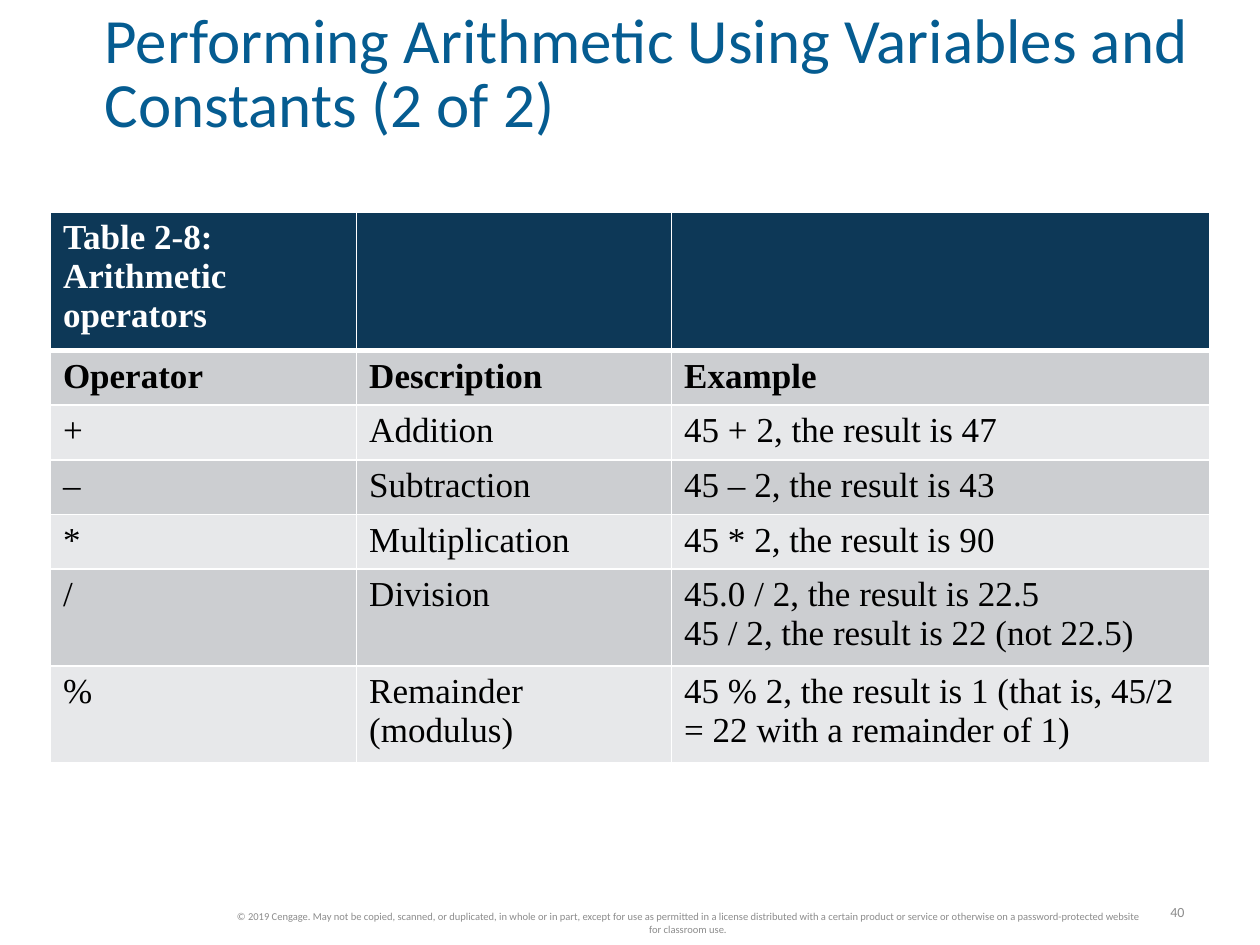
from dataclasses import dataclass

from lxml.etree import SubElement
from pptx import Presentation
from pptx.dml.color import RGBColor
from pptx.enum.text import MSO_ANCHOR, MSO_AUTO_SIZE, PP_ALIGN
from pptx.oxml.ns import qn
from pptx.util import Pt


@dataclass(frozen=True)
class Theme:
    title_font: str = "Calibri"
    table_font: str = "Times New Roman"
    title_size: float = 36
    table_size: float = 20
    number_size: float = 8
    copyright_size: float = 6
    title: str = "055C91"
    footer: str = "8C8C8C"
    header_fill: str = "0D3857"
    header_text: str = "FFFFFF"
    body_text: str = "000000"
    bands: tuple = ("CCCED1", "E7E8EA")
    border: str = "FFFFFF"


THEME = Theme()


@dataclass(frozen=True)
class TextBlock:
    text: str
    left: float
    top: float
    width: float
    height: float
    size: float
    color: str
    alignment: PP_ALIGN = PP_ALIGN.LEFT
    line_spacing: float = 1.0
    wrap: bool = True
    grow: bool = False
    inset: bool = True


@dataclass(frozen=True)
class OperatorRow:
    operator: str
    description: str = ""
    examples: tuple = ("",)


BLOCKS = (
    TextBlock("40", 659.5, 512.6, 24.5, 17.3, THEME.number_size, THEME.footer,
              PP_ALIGN.RIGHT, wrap=False, grow=True),
    TextBlock("Performing Arithmetic Using Variables and Constants (2 of 2)",
              59.8, 25.2, 632.2, 36.7, THEME.title_size, THEME.title,
              line_spacing=0.85, grow=True, inset=False),
    TextBlock("© 2019 Cengage. May not be copied, scanned, or duplicated, in whole "
              "or in part, except for use as permitted in a license distributed with "
              "a certain product or service or otherwise on a password-protected "
              "website for classroom use.",
              126, 517.7, 534.2, 19.4, THEME.copyright_size, THEME.footer,
              PP_ALIGN.CENTER),
)

ROWS = (
    OperatorRow("Table 2-8: Arithmetic operators"),
    OperatorRow("Operator", "Description", ("Example",)),
    OperatorRow("+", "Addition", ("45 + 2, the result is 47",)),
    OperatorRow("–", "Subtraction", ("45 – 2, the result is 43",)),
    OperatorRow("*", "Multiplication", ("45 * 2, the result is 90",)),
    OperatorRow("/", "Division", ("45.0 / 2, the result is 22.5",
                                  "45 / 2, the result is 22 (not 22.5)")),
    OperatorRow("%", "Remainder (modulus)",
                ("45 % 2, the result is 1 (that is, 45/2 = 22 with a remainder of 1)",)),
)
COLUMN_WIDTHS = (175, 180, 307.4)
ROW_HEIGHT = 29.5


def add_run(paragraph, text: str, font: str, size: float, color: str,
            bold: bool = False) -> None:
    run = paragraph.add_run()
    run.text = text
    run.font.name = font
    run.font.size = Pt(size)
    run.font.bold = bold
    run.font.color.rgb = RGBColor.from_string(color)


def add_text(slide, block: TextBlock) -> None:
    shape = slide.shapes.add_textbox(Pt(block.left), Pt(block.top),
                                     Pt(block.width), Pt(block.height))
    frame = shape.text_frame
    frame.word_wrap = block.wrap
    frame.vertical_anchor = MSO_ANCHOR.MIDDLE
    frame.auto_size = (MSO_AUTO_SIZE.SHAPE_TO_FIT_TEXT if block.grow
                       else MSO_AUTO_SIZE.NONE)
    if not block.inset:
        frame.margin_left = frame.margin_right = Pt(0)
        frame.margin_top = frame.margin_bottom = Pt(0)
    paragraph = frame.paragraphs[0]
    paragraph.alignment = block.alignment
    paragraph.line_spacing = block.line_spacing
    add_run(paragraph, block.text, THEME.title_font, block.size, block.color)


def set_borders(cell, bottom: float, top: float) -> None:
    properties = cell._tc.get_or_add_tcPr()
    widths = {"a:lnL": 1, "a:lnR": 1, "a:lnT": top, "a:lnB": bottom}
    for side, width in widths.items():
        line = SubElement(properties, qn(side), w=str(Pt(width)))
        fill = SubElement(line, qn("a:solidFill"))
        SubElement(fill, qn("a:srgbClr"), val=THEME.border)


def fill_cell(cell, lines: tuple, row_index: int) -> None:
    header = row_index == 0
    # Borders precede the fill in the cell properties
    set_borders(cell, bottom=3 if header else 1, top=3 if row_index == 1 else 1)
    cell.fill.solid()
    cell.fill.fore_color.rgb = RGBColor.from_string(
        THEME.header_fill if header else THEME.bands[(row_index - 1) % 2])
    frame = cell.text_frame
    for index, line in enumerate(lines):
        paragraph = frame.add_paragraph() if index else frame.paragraphs[0]
        if line:
            add_run(paragraph, line, THEME.table_font, THEME.table_size,
                    THEME.header_text if header else THEME.body_text,
                    bold=row_index < 2)


def add_operator_table(slide) -> None:
    table = slide.shapes.add_table(
        len(ROWS), len(COLUMN_WIDTHS), Pt(28.8), Pt(121),
        Pt(sum(COLUMN_WIDTHS)), Pt(ROW_HEIGHT * len(ROWS))).table
    for column, width in zip(table.columns, COLUMN_WIDTHS):
        column.width = Pt(width)
    for row_index, row in enumerate(ROWS):
        table.rows[row_index].height = Pt(ROW_HEIGHT)
        contents = ((row.operator,), (row.description,), row.examples)
        for column_index, lines in enumerate(contents):
            fill_cell(table.cell(row_index, column_index), lines, row_index)


def main() -> None:
    presentation = Presentation()
    presentation.slide_width, presentation.slide_height = Pt(720), Pt(540)
    slide = presentation.slides.add_slide(presentation.slide_layouts[6])

    # Page number, title and copyright line
    for block in BLOCKS:
        add_text(slide, block)

    # Table of operators
    add_operator_table(slide)

    presentation.save("out.pptx")


if __name__ == "__main__":
    main()
